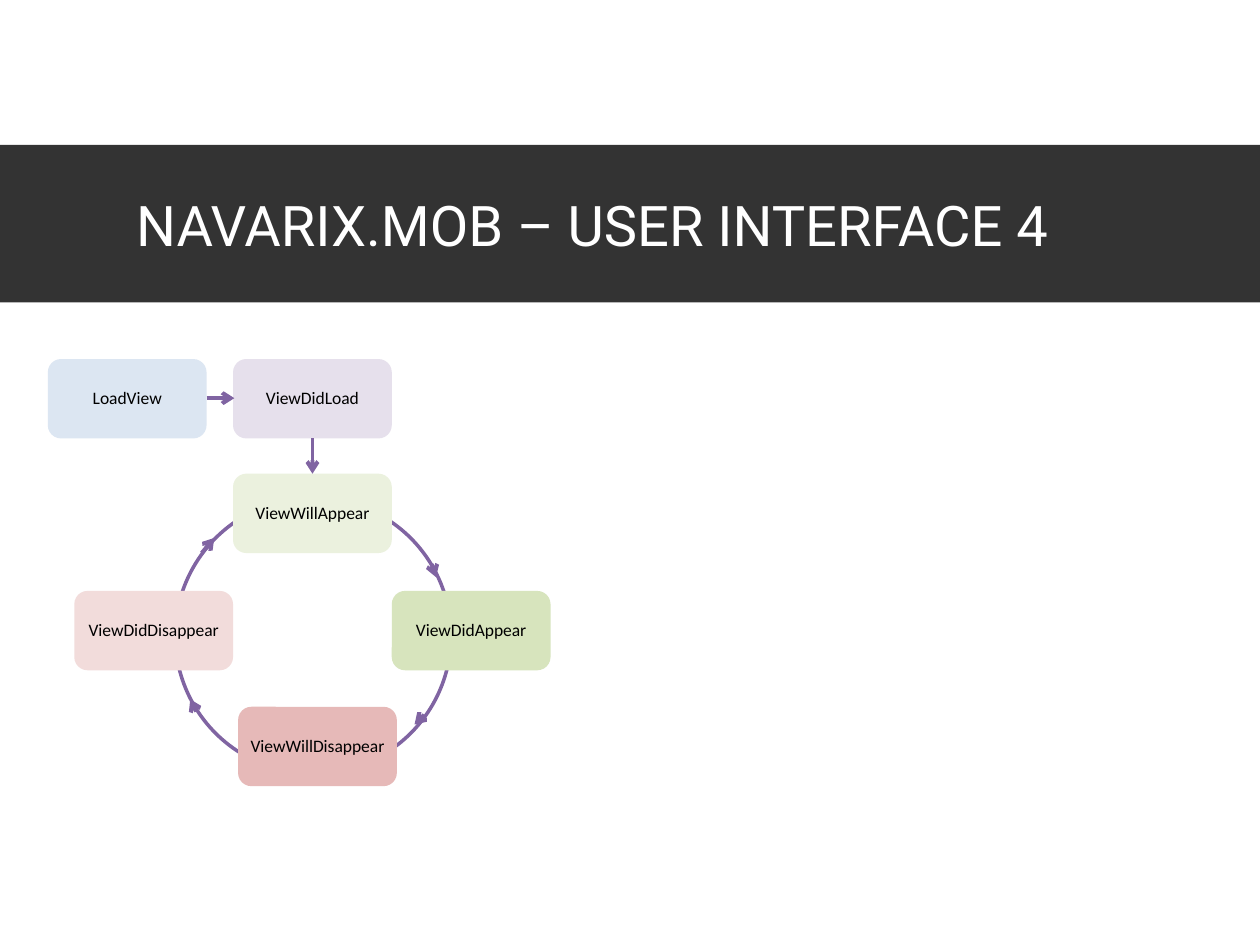
"""Build a slide showing the life cycle of a view as a ring of stages."""
from dataclasses import dataclass

import pptx
import pptx.dml.color
import pptx.enum.shapes
import pptx.enum.text
import pptx.oxml
import pptx.oxml.ns
import pptx.slide
import pptx.util
from pptx.dml.color import RGBColor
from pptx.util import Inches

WHITE = RGBColor(0xFF, 0xFF, 0xFF)
BLACK = RGBColor(0x00, 0x00, 0x00)
CHARCOAL = RGBColor(0x33, 0x33, 0x33)
PURPLE = RGBColor(0x80, 0x64, 0xA2)
LILAC = RGBColor(0xE6, 0xE0, 0xEC)
PALE_GREEN = RGBColor(0xEB, 0xF1, 0xDE)
GREEN = RGBColor(0xD7, 0xE4, 0xBD)
ROSE = RGBColor(0xE6, 0xB9, 0xB8)
PALE_ROSE = RGBColor(0xF2, 0xDC, 0xDB)
PALE_BLUE = RGBColor(0xDC, 0xE6, 0xF2)

STAGE_WIDTH, STAGE_HEIGHT = 1.26, 0.63


@dataclass(frozen=True)
class Stage:
    """A named step, placed by its top left corner in inches."""
    name: str
    left: float
    top: float
    color: RGBColor


@dataclass(frozen=True)
class Arrow:
    """A straight arrow between two points in inches."""
    start: tuple[float, float]
    end: tuple[float, float]


STAGES = (
    Stage("ViewDidLoad", 1.85, 2.85, LILAC),
    Stage("ViewWillAppear", 1.85, 3.76, PALE_GREEN),
    Stage("ViewDidAppear", 3.11, 4.69, GREEN),
    Stage("ViewWillDisappear", 1.89, 5.61, ROSE),
    Stage("ViewDidDisappear", 0.59, 4.69, PALE_ROSE),
    Stage("LoadView", 0.38, 2.85, PALE_BLUE),
)
ARROWS = (
    Arrow((2.48, 3.48), (2.48, 3.76)),
    Arrow((1.6, 4.39), (1.7, 4.27)),
    Arrow((3.43, 4.49), (3.46, 4.58)),
    Arrow((1.54, 5.61), (1.51, 5.55)),
    Arrow((3.34, 5.7), (3.29, 5.75)),
    Arrow((1.64, 3.16), (1.86, 3.16)),
)


def set_title(page: pptx.slide.Slide, text: str) -> None:
    """Turn the title placeholder into a dark band."""
    title = page.shapes.title
    title.left, title.top = Inches(0), Inches(1.15)
    title.width, title.height = Inches(10), Inches(1.25)
    title.fill.solid()
    title.fill.fore_color.rgb = CHARCOAL
    frame = title.text_frame
    frame.text = text
    frame.margin_left = Inches(1.08)
    frame.vertical_anchor = pptx.enum.text.MSO_ANCHOR.MIDDLE
    para = frame.paragraphs[0]
    para.alignment = pptx.enum.text.PP_ALIGN.LEFT
    para.font.name = "Roboto"
    para.font.size = pptx.util.Pt(32)
    para.font.color.rgb = WHITE


def draw_ring(page: pptx.slide.Slide) -> None:
    """Draw the circle that joins the repeating stages."""
    ring = page.shapes.add_shape(
        pptx.enum.shapes.MSO_SHAPE.OVAL,
        Inches(1.39), Inches(3.95), Inches(2.19), Inches(2.19))
    ring.shadow.inherit = False
    ring.fill.background()
    ring.line.color.rgb = PURPLE
    ring.line.width = pptx.util.Pt(2)


def draw_stage(page: pptx.slide.Slide, stage: Stage) -> None:
    """Draw one rounded box with its name."""
    box = page.shapes.add_shape(
        pptx.enum.shapes.MSO_SHAPE.ROUNDED_RECTANGLE,
        Inches(stage.left), Inches(stage.top),
        Inches(STAGE_WIDTH), Inches(STAGE_HEIGHT))
    box.shadow.inherit = False
    box.fill.solid()
    box.fill.fore_color.rgb = stage.color
    box.line.fill.background()
    frame = box.text_frame
    frame.text = stage.name
    frame.word_wrap = True
    frame.margin_left = frame.margin_right = Inches(0.04)
    frame.margin_top = frame.margin_bottom = Inches(0.04)
    frame.vertical_anchor = pptx.enum.text.MSO_ANCHOR.MIDDLE
    para = frame.paragraphs[0]
    para.alignment = pptx.enum.text.PP_ALIGN.CENTER
    para.line_spacing = 0.9
    para.font.name = "Calibri"
    para.font.size = pptx.util.Pt(10)
    para.font.color.rgb = BLACK


def draw_arrow(page: pptx.slide.Slide, arrow: Arrow) -> None:
    """Draw one connector with an open head at its end."""
    connector = page.shapes.add_connector(
        pptx.enum.shapes.MSO_CONNECTOR.STRAIGHT,
        *map(Inches, arrow.start + arrow.end))
    connector.line.color.rgb = PURPLE
    connector.line.width = pptx.util.Pt(2.25)
    head = pptx.oxml.parse_xml(
        f'<a:tailEnd {pptx.oxml.ns.nsdecls("a")} type="arrow"/>')
    connector.line._get_or_add_ln().append(head)
    connector._element.spPr.append(pptx.oxml.parse_xml(
        f'<a:effectLst {pptx.oxml.ns.nsdecls("a")}/>'))


def main() -> None:
    """Assemble and save the deck."""
    deck = pptx.Presentation()
    deck.slide_width, deck.slide_height = Inches(10), Inches(7.5)
    page = deck.slides.add_slide(deck.slide_layouts.get_by_name("Title Only"))
    set_title(page, "NAVARIX.MOB – USER INTERFACE 4")
    draw_ring(page)
    for stage in STAGES:
        draw_stage(page, stage)
    for arrow in ARROWS:
        draw_arrow(page, arrow)
    deck.save("out.pptx")


if __name__ == "__main__":
    main()
